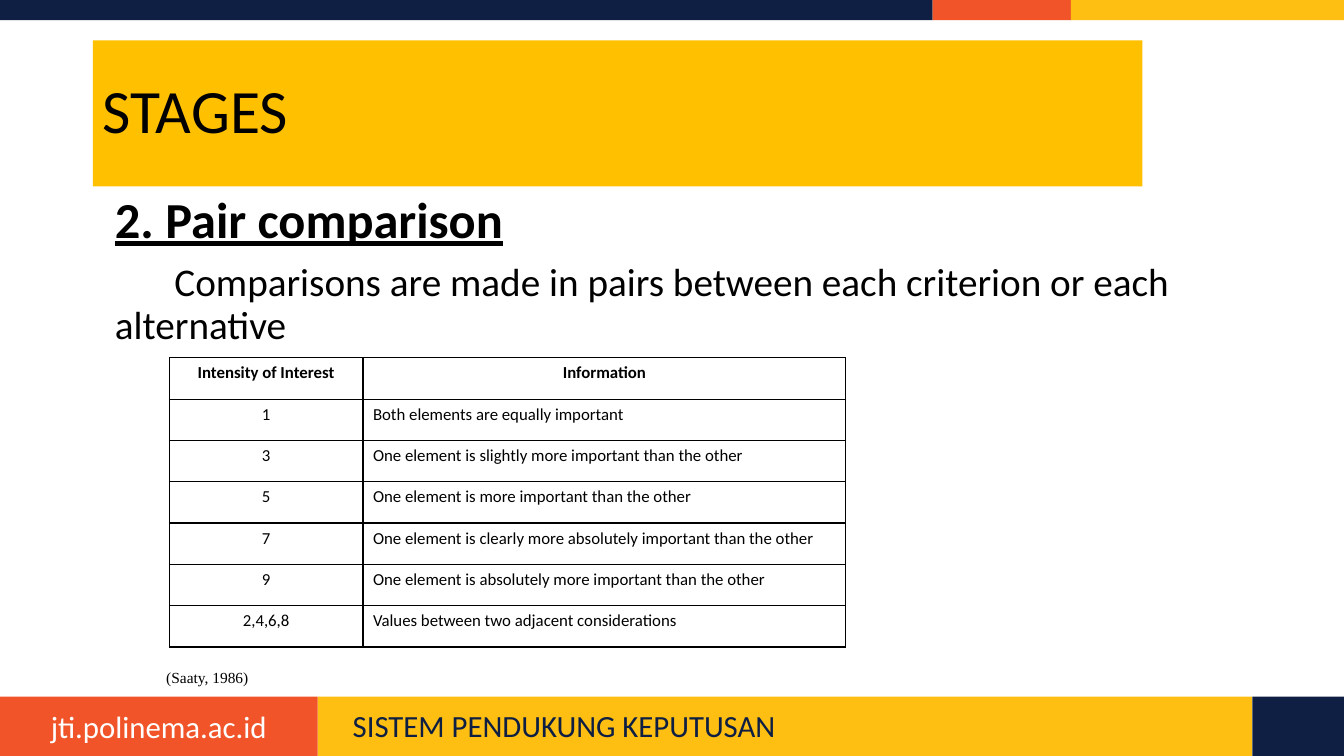
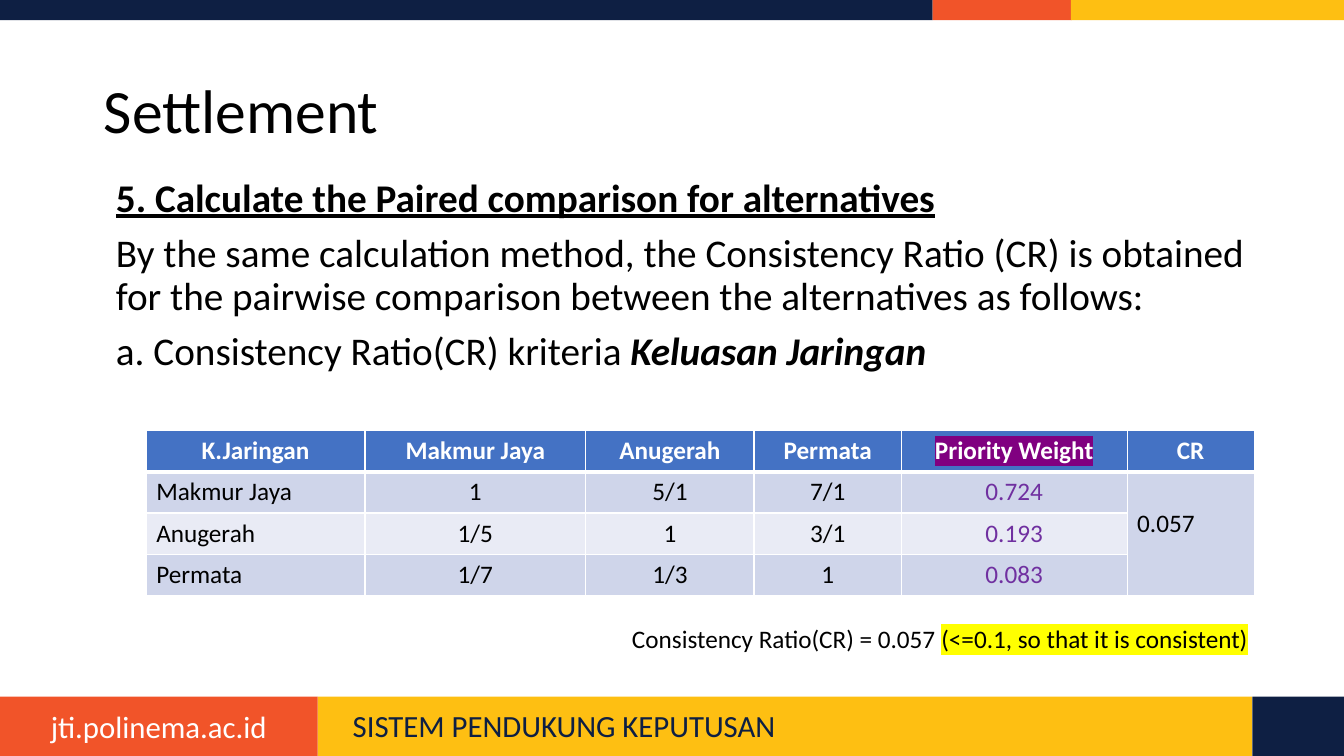
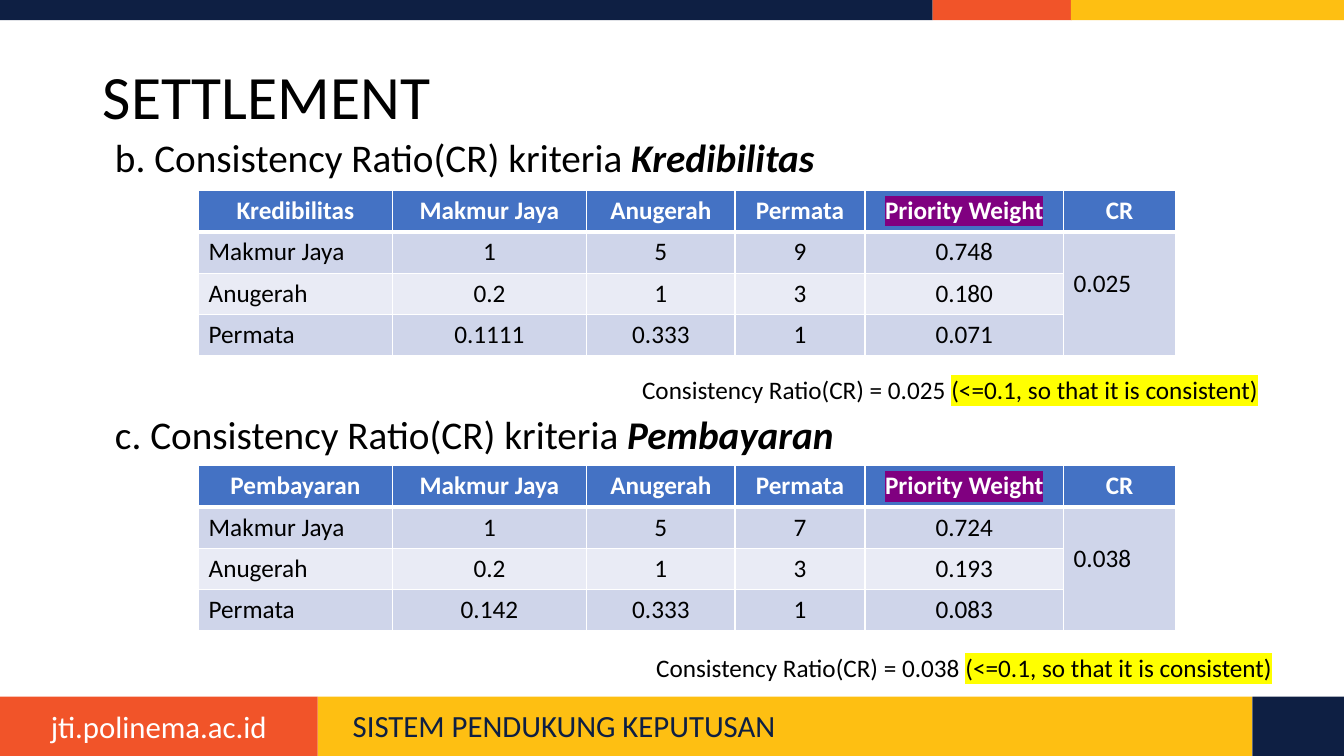
from pptx import Presentation
from pptx.dml.color import RGBColor
from pptx.enum.shapes import MSO_SHAPE
from pptx.enum.text import MSO_ANCHOR, MSO_AUTO_SIZE, PP_ALIGN
from pptx.oxml.ns import qn
from pptx.util import Inches, Pt
from lxml import etree

RECT = MSO_SHAPE.RECTANGLE
LEFT, MID = PP_ALIGN.LEFT, PP_ALIGN.CENTER
CENTRE = MSO_ANCHOR.MIDDLE
FIXED = MSO_AUTO_SIZE.NONE

# Colours
NAVY = RGBColor(0x0E, 0x1F, 0x43)
ORANGE = RGBColor(0xF1, 0x54, 0x29)
AMBER = RGBColor(0xFE, 0xBF, 0x12)
GOLD = RGBColor(0xFF, 0xC0, 0x00)
BLUE = RGBColor(0x44, 0x72, 0xC4)
DARK = RGBColor(0xCF, 0xD5, 0xEA)
PALE = RGBColor(0xE9, 0xEB, 0xF5)
PLUM = RGBColor(0x80, 0x00, 0x80)
PURPLE = RGBColor(0x70, 0x30, 0xA0)
YELLOW = RGBColor(0xFF, 0xFF, 0x00)
BLACK = RGBColor(0, 0, 0)
WHITE = RGBColor(0xFF, 0xFF, 0xFF)

ROW = 0.41
FACE = "Calibri"
NAMES = ["Makmur Jaya", "Anugerah", "Permata"]


# Text
def put(para, text, size, color=BLACK, bold=False, italic=False,
        under=False, mark=None, face=FACE):
    run = para.add_run()
    run.text = text
    font = run.font
    font.name, font.size, font.bold = face, Pt(size), bold
    font.italic, font.underline = italic, under
    font.color.rgb = color
    if mark is not None:
        light = etree.Element(qn("a:highlight"))
        etree.SubElement(light, qn("a:srgbClr")).set("val", str(mark))
        run.font.fill  # solid fill precedes the highlight
        run.font.color.rgb = color
        run.font._element.find(qn("a:solidFill")).addnext(light)


def place(shape, box):
    shape.left, shape.top, shape.width, shape.height = map(Inches, box)


def note(slide, box):
    frame = slide.shapes.add_textbox(*map(Inches, box)).text_frame
    frame.word_wrap = True
    return frame.paragraphs[0]


def ratio(slide, left, top, value):
    para = note(slide, (left, top, 6.67, 0.4))
    put(para, f"Consistency Ratio(CR) = {value} ", 18)
    put(para, "(<=0.1, so that it is consistent)", 18, mark=YELLOW)


def head(slide, text, box, fill=None):
    title = slide.shapes.title
    place(title, box)
    if fill is not None:
        title.fill.solid()
        title.fill.fore_color.rgb = fill
    frame = title.text_frame
    frame.auto_size, frame.vertical_anchor = FIXED, CENTRE
    para = frame.paragraphs[0]
    para.alignment, para.line_spacing = LEFT, 0.9
    put(para, text, 44)


def body(slide, box, items):
    """Each item is (space before, first-line indent, runs)."""
    shape = slide.placeholders[1]
    place(shape, box)
    frame = shape.text_frame
    frame.auto_size = FIXED
    for num, (gap, indent, runs) in enumerate(items):
        para = frame.add_paragraph() if num else frame.paragraphs[0]
        props = para._p.get_or_add_pPr()
        props.set("marL", str(Inches(0.12)))
        props.set("indent", str(Inches(indent)))
        etree.SubElement(props, qn("a:buNone"))
        para.line_spacing, para.space_before = 0.9, Pt(gap)
        for text, size, style in runs:
            put(para, text, size, **style)


def item(text, name):
    return [(text, 28, {}), (name, 28, {"bold": True, "italic": True})]


# Tables
def edge(cell, color, top=1, bottom=1):
    props = cell._tc.get_or_add_tcPr()
    sides = [("lnL", 1), ("lnR", 1), ("lnT", top), ("lnB", bottom)]
    for num, (side, width) in enumerate(sides):
        line = etree.Element(qn(f"a:{side}"), w=str(Pt(width)))
        solid = etree.SubElement(line, qn("a:solidFill"))
        etree.SubElement(solid, qn("a:srgbClr")).set("val", str(color))
        props.insert(num, line)


def grid(slide, left, top, widths, count):
    table = slide.shapes.add_table(
        count, len(widths), Inches(left), Inches(top),
        Inches(sum(widths)), Inches(ROW * count)).table
    table.first_row = table.horz_banding = False
    for col, width in zip(table.columns, widths):
        col.width = Inches(width)
    for row in table.rows:
        row.height = Inches(ROW)
    return table


def scale(slide, left, top, rows):
    table = grid(slide, left, top, [1.92, 4.79], len(rows))
    for i, row in enumerate(rows):
        for j, text in enumerate(row):
            cell = table.cell(i, j)
            cell.fill.background()
            edge(cell, BLACK)
            para = cell.text_frame.paragraphs[0]
            para.alignment = LEFT if i and j else MID
            put(para, text, 12, bold=i == 0)


def matrix(slide, left, top, widths, name, rows, ratio, tint=BLACK):
    table = grid(slide, left, top, widths, 4)
    last = len(widths) - 1
    lines = [[name, *NAMES, "Priority Weight", "CR"]]
    lines += [[label, *row, ""] for label, row in zip(NAMES, rows)]
    lines[1][last] = ratio
    for i, line in enumerate(lines):
        for j, text in enumerate(line):
            cell = table.cell(i, j)
            cell.fill.solid()
            cell.fill.fore_color.rgb = (DARK if i % 2 else PALE) if i else BLUE
            edge(cell, WHITE, 3 if i == 1 else 1, 1 if i else 3)
            if not text:
                continue
            para = cell.text_frame.paragraphs[0]
            para.alignment = LEFT if i and j in (0, last) else MID
            weight = j == last - 1
            if i == 0:
                put(para, text, 18, WHITE, True, mark=PLUM if weight else None)
            else:
                put(para, text, 18, tint if weight else BLACK)
    joint = table.cell(1, last)
    joint.merge(table.cell(3, last))
    joint.margin_top = Inches(0.36)


# Bands and footer, drawn once and moved to the layout
def dress(slide, layout):
    bands = [
        (0, 0, 9.25, 0.2, NAVY), (9.25, 0, 1.38, 0.2, ORANGE),
        (10.62, 0, 2.71, 0.2, AMBER), (3.15, 6.91, 9.27, 0.59, AMBER),
        (0, 6.91, 3.15, 0.59, ORANGE), (12.42, 6.91, 0.92, 0.59, NAVY)]
    start = len(slide.shapes)
    for *box, color in bands:
        band = slide.shapes.add_shape(RECT, *map(Inches, box))
        band.shadow.inherit = False
        band.fill.solid()
        band.fill.fore_color.rgb = color
        band.line.fill.background()
    site = note(slide, (0, 6.97, 3.15, 0.47))
    site.alignment = MID
    put(site, "jti.polinema.ac.id", 22, WHITE)
    course = note(slide, (3.4, 7, 8.74, 0.4))
    course.line_spacing = 0.9
    put(course, "SISTEM PENDUKUNG KEPUTUSAN", 22, NAVY)
    for num, shape in enumerate(list(slide.shapes)[start:]):
        shape.element.xpath("./p:nvSpPr/p:cNvPr")[0].set("id", str(100 + num))
        layout.shapes.element.insert(2 + num, shape.element)


def main():
    deck = Presentation()
    deck.slide_width, deck.slide_height = Inches(13.33), Inches(7.5)
    layout = deck.slide_layouts[1]
    pair, first, rest = [deck.slides.add_slide(layout) for _ in range(3)]
    dress(pair, layout)
    strong = {"bold": True, "under": True}

    # Pair comparison
    head(pair, "STAGES", (0.92, 0.4, 10.41, 1.45), GOLD)
    body(pair, (0.92, 1.88, 11.29, 3.99), [
        (0, 0, [("2. Pair comparison", 36, strong)]),
        (10, 0.59, [("Comparisons are made in pairs between each criterion "
                     "or each alternative", 28, {})])])
    scale(pair, 1.68, 3.55, [
        ("Intensity of Interest", "Information"),
        ("1", "Both elements are equally important"),
        ("3", "One element is slightly more important than the other"),
        ("5", "One element is more important than the other"),
        ("7", "One element is clearly more absolutely important than the other"),
        ("9", "One element is absolutely more important than the other"),
        ("2,4,6,8", "Values between two adjacent considerations")])
    put(note(pair, (1.55, 6.58, 1.65, 0.29)), "(Saaty, 1986)", 11,
        face="Times New Roman")

    # First criterion
    head(first, "Settlement", (0.93, 0.4, 11.5, 1.45))
    body(first, (0.93, 1.72, 11.95, 3.99), [
        (0, 0, [("5. Calculate the Paired comparison for alternatives",
                 28, strong)]),
        (9.3, 0, [("By the same calculation method, the Consistency Ratio "
                   "(CR) is obtained for the pairwise comparison between "
                   "the alternatives as follows:", 28, {})]),
        (9.3, 0, item("a. Consistency Ratio(CR) kriteria ",
                      "Keluasan Jaringan"))])
    matrix(first, 1.45, 4.27, [2.17, 2.19, 1.67, 1.46, 2.24, 1.26],
           "K.Jaringan", [("1", "5/1", "7/1", "0.724"),
                          ("1/5", "1", "3/1", "0.193"),
                          ("1/7", "1/3", "1", "0.083")], "0.057", PURPLE)
    ratio(first, 6.17, 6.13, "0.057")

    # Other criteria
    head(rest, "SETTLEMENT", (0.92, 0.26, 10.24, 1.45))
    body(rest, (0.92, 1.33, 11.5, 4.76), [
        (0, 0, item("b. Consistency Ratio(CR) kriteria ", "Kredibilitas")),
        (167, 0, item("c. Consistency Ratio(CR) kriteria ", "Pembayaran"))])
    widths = [1.92, 1.93, 1.47, 1.29, 1.97, 1.11]
    matrix(rest, 1.97, 1.89, widths, "Kredibilitas",
           [("1", "5", "9", "0.748"), ("0.2", "1", "3", "0.180"),
            ("0.1111", "0.333", "1", "0.071")], "0.025")
    matrix(rest, 1.97, 4.62, widths, "Pembayaran",
           [("1", "5", "7", "0.724"), ("0.2", "1", "3", "0.193"),
            ("0.142", "0.333", "1", "0.083")], "0.038")
    ratio(rest, 6.27, 3.66, "0.025")
    ratio(rest, 6.41, 6.42, "0.038")

    deck.save("out.pptx")


if __name__ == "__main__":
    main()
